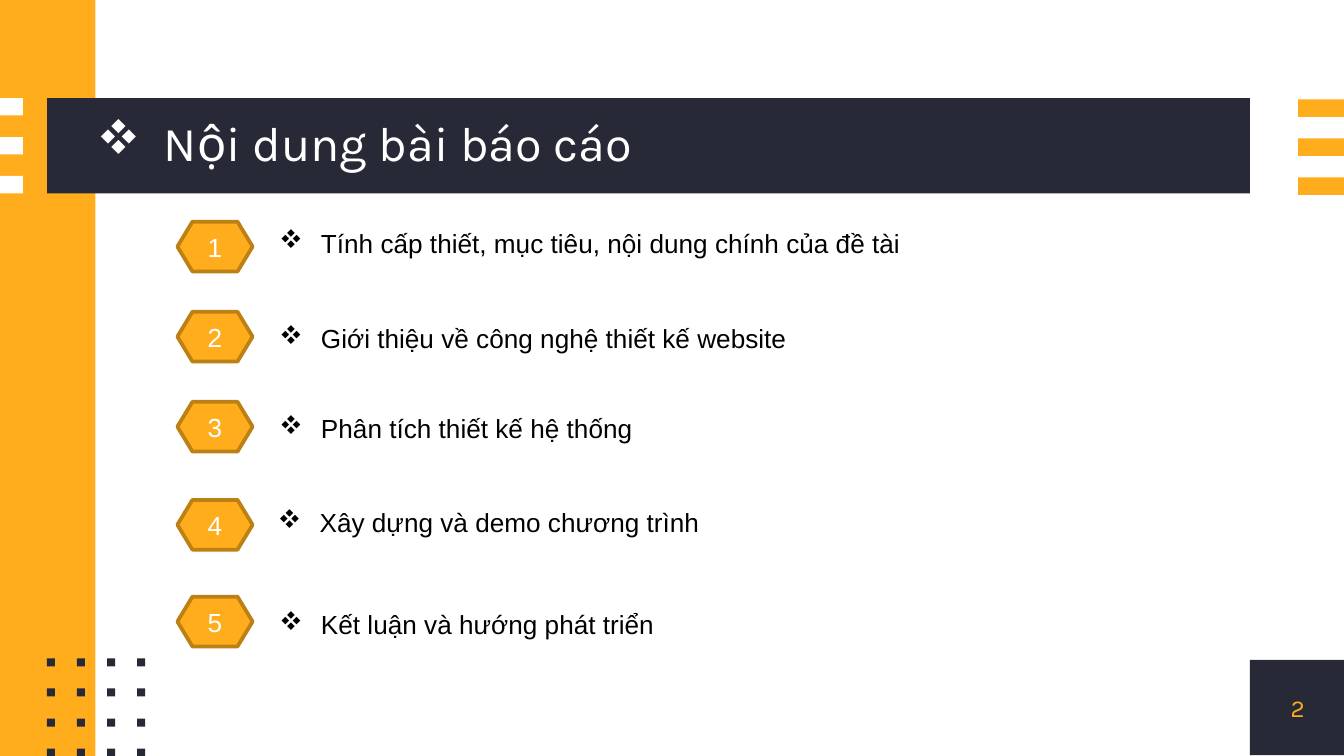
from lxml import etree
from pptx import Presentation
from pptx.dml.color import RGBColor
from pptx.enum import shapes, text
from pptx.oxml import ns
from pptx.util import Inches, Pt

AMBER = RGBColor(0xFF, 0xAD, 0x1D)
BRONZE = RGBColor(0xBD, 0x80, 0x15)
NAVY = RGBColor(0x27, 0x2A, 0x36)
WHITE = RGBColor(0xFF, 0xFF, 0xFF)
BLACK = RGBColor(0, 0, 0)

TITLE = "Nội dung bài báo cáo"
PAGE_NUMBER = "2"
# Topic, top of its badge, then left, top and width of its text
TOPICS = [
    ("Tính cấp thiết, mục tiêu, nội dung chính của đề tài", 1.65, 1.98, 1.64, 4.85),
    ("Giới thiệu về công nghệ thiết kế website", 2.32, 1.98, 2.35, 4),
    ("Phân tích thiết kế hệ thống", 2.99, 1.98, 3.02, 2.85),
    ("Xây dựng và demo chương trình", 3.72, 1.97, 3.72, 3.36),
    ("Kết luận và hướng phát triển", 4.44, 1.98, 4.48, 3.01),
]
SLIDE_WIDTH = 10
SLIDE_HEIGHT = SLIDE_WIDTH * 9 / 16
BADGE_LEFT, BADGE_WIDTH, BADGE_HEIGHT = 1.32, 0.56, 0.37
TEXT_HEIGHT = 0.34
BAND_TOP, BAND_HEIGHT = 0.73, 0.71
STRIPE_PITCH, STRIPE_HEIGHT = 0.29, 0.13
DOT_LEFT, DOT_TOP, DOT_SIZE = 0.35, 4.9, 0.06
DOT_PITCH = 0.67 / 3

presentation = Presentation()
presentation.slide_width = Inches(SLIDE_WIDTH)
presentation.slide_height = Inches(SLIDE_HEIGHT)
slide = presentation.slides.add_slide(presentation.slide_layouts[5])


def add_shape(left, top, width, height, fill, preset=shapes.MSO_SHAPE.RECTANGLE):
    shape = slide.shapes.add_shape(
        preset, Inches(left), Inches(top), Inches(width), Inches(height))
    shape.shadow.inherit = False
    shape.fill.solid()
    shape.fill.fore_color.rgb = fill
    shape.line.fill.background()
    return shape


def write(frame, words, size, font, color, align, margin=None):
    frame.word_wrap = True
    frame.auto_size = text.MSO_AUTO_SIZE.NONE
    frame.vertical_anchor = text.MSO_ANCHOR.MIDDLE
    if margin is not None:
        frame.margin_left = frame.margin_right = Inches(margin)
        frame.margin_top = frame.margin_bottom = Inches(margin)
    frame.text = words
    paragraph = frame.paragraphs[0]
    paragraph.alignment = align
    paragraph.font.size = Pt(size)
    paragraph.font.name = font
    paragraph.font.color.rgb = color
    return paragraph


def add_bullet(paragraph, indent, color):
    """Hang a Wingdings four-diamond bullet, which is its letter v."""
    properties = paragraph._p.get_or_add_pPr()
    properties.set("marL", str(Inches(indent)))
    properties.set("indent", str(-Inches(indent)))
    bullet_color = etree.Element(ns.qn("a:buClr"))
    etree.SubElement(bullet_color, ns.qn("a:srgbClr"), val=str(color))
    bullet_font = etree.Element(
        ns.qn("a:buFont"), typeface="Wingdings", pitchFamily="2", charset="2")
    bullet = etree.Element(ns.qn("a:buChar"), char="v")
    font_defaults = properties.find(ns.qn("a:defRPr"))
    for element in (bullet_color, bullet_font, bullet):
        font_defaults.addprevious(element)


# Frame: side bar, title band, stripes and dots
page_box = add_shape(9.3, 4.91, 0.71, 0.71, NAVY)
add_shape(0, 0, 0.71, SLIDE_HEIGHT, AMBER)
add_shape(0.35, BAND_TOP, 8.95, BAND_HEIGHT, NAVY)
for row in range(3):
    stripe_top = BAND_TOP + row * STRIPE_PITCH
    add_shape(0, stripe_top, 0.17, STRIPE_HEIGHT, WHITE)
    add_shape(9.66, stripe_top + 0.01, 0.34, STRIPE_HEIGHT, AMBER)
for row in range(4):
    for column in range(4):
        add_shape(DOT_LEFT + column * DOT_PITCH, DOT_TOP + row * DOT_PITCH,
                  DOT_SIZE, DOT_SIZE, NAVY)
write(page_box.text_frame, PAGE_NUMBER, 13, "Karla", AMBER, text.PP_ALIGN.CENTER, 0)

# Title, brought in front of the band
title = slide.shapes.title
title.left, title.top = Inches(0.72), Inches(BAND_TOP)
title.width, title.height = Inches(8.58), Inches(BAND_HEIGHT)
slide.shapes._spTree.append(title._element)
heading = write(title.text_frame, TITLE, 26, "Karla", WHITE, text.PP_ALIGN.LEFT, 0)
heading.line_spacing = 0.9
add_bullet(heading, 0.5, WHITE)

# Numbered topics
for number, (topic, badge_top, left, top, width) in enumerate(TOPICS, 1):
    badge = add_shape(BADGE_LEFT, badge_top, BADGE_WIDTH, BADGE_HEIGHT, AMBER,
                      shapes.MSO_SHAPE.FLOWCHART_PREPARATION)
    badge.line.color.rgb = BRONZE
    badge.line.width = Pt(2)
    write(badge.text_frame, str(number), 14, "Arial", WHITE, text.PP_ALIGN.CENTER)
    box = slide.shapes.add_textbox(
        Inches(left), Inches(top), Inches(width), Inches(TEXT_HEIGHT))
    line = write(box.text_frame, topic, 14, "Arial", BLACK, text.PP_ALIGN.LEFT)
    box.text_frame.vertical_anchor = text.MSO_ANCHOR.TOP
    add_bullet(line, 0.31, BLACK)

presentation.save("out.pptx")
